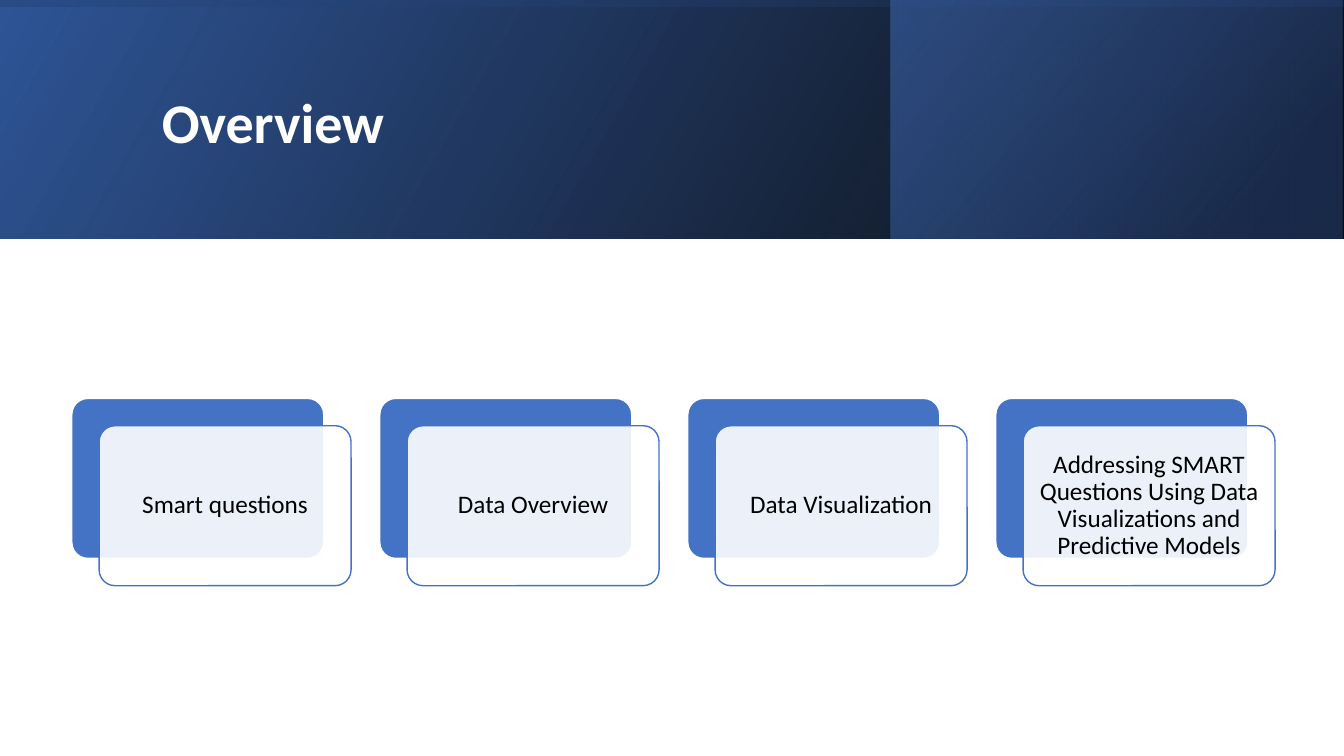
from dataclasses import dataclass

from lxml import etree
from pptx import Presentation
from pptx.dml.color import RGBColor
from pptx.enum import shapes, text
from pptx.oxml.ns import qn
from pptx.util import Pt

FONT = "Calibri"
BLUE, WHITE, BLACK = "4472C4", "FFFFFF", "000000"
SLIDE_W, SLIDE_H, BANNER_H = 960, 540, 170.6


@dataclass
class Box:
    left: float
    top: float
    width: float
    height: float

    def lengths(self) -> list:
        return [Pt(v) for v in (self.left, self.top, self.width, self.height)]


@dataclass
class Stop:
    position: float
    colour: str
    opacity: int


@dataclass
class BannerLayer:
    box: Box
    stops: tuple[Stop, Stop]
    angle: float  # counter-clockwise degrees
    rotation: float = 0


def rgb(value: str) -> RGBColor:
    return RGBColor.from_string(value)


def set_opacity(fill_part, percent: int) -> None:
    """Add an alpha to the colour found inside a fill or gradient stop element."""
    colour = next(fill_part.iter(qn("a:srgbClr")))
    etree.SubElement(colour, qn("a:alpha")).set("val", str(percent * 1000))


def add_banner_layer(slide, layer: BannerLayer) -> None:
    shape = slide.shapes.add_shape(shapes.MSO_SHAPE.RECTANGLE, *layer.box.lengths())
    shape.shadow.inherit = False
    shape.line.fill.background()
    shape.rotation = layer.rotation
    properties = shape._element.spPr
    properties.find(qn("a:xfrm")).set("flipH", "1")
    shape.fill.gradient()
    shape.fill.gradient_angle = layer.angle
    for target, stop in zip(shape.fill.gradient_stops, layer.stops):
        target.position = stop.position
        target.color.rgb = rgb(stop.colour)
    for element, stop in zip(properties.iter(qn("a:gs")), layer.stops):
        set_opacity(element, stop.opacity)


def add_card(slide, box: Box, fill: str, line: str, opacity: int = 100) -> None:
    card = slide.shapes.add_shape(shapes.MSO_SHAPE.ROUNDED_RECTANGLE, *box.lengths())
    card.adjustments[0] = 0.1
    card.shadow.inherit = False
    card.fill.solid()
    card.fill.fore_color.rgb = rgb(fill)
    card.line.color.rgb = rgb(line)
    card.line.width = Pt(1)
    if opacity < 100:
        set_opacity(card._element.spPr.find(qn("a:solidFill")), opacity)


def add_text(slide, box: Box, words: str, *, size: float, colour: str,
             bold: bool = False, align=text.PP_ALIGN.LEFT,
             margins: tuple[float, float] = (7.2, 3.6)) -> None:
    """Add vertically centred text; margins are (side, top and bottom)."""
    frame = slide.shapes.add_textbox(*box.lengths()).text_frame
    frame.word_wrap = True
    frame.vertical_anchor = text.MSO_ANCHOR.MIDDLE
    frame.margin_left = frame.margin_right = Pt(margins[0])
    frame.margin_top = frame.margin_bottom = Pt(margins[1])
    paragraph = frame.paragraphs[0]
    paragraph.alignment = align
    paragraph.line_spacing = 0.9
    paragraph.space_after = Pt(6)
    run = paragraph.add_run()
    run.text = words
    run.font.name = FONT
    run.font.size = Pt(size)
    run.font.bold = bold
    run.font.color.rgb = rgb(colour)


BANNER = (
    BannerLayer(Box(0, 0, SLIDE_W, BANNER_H),
                (Stop(0, BLACK, 96), Stop(1, "2F5597", 100)), angle=30),
    BannerLayer(Box(636.2, 0, 322.8, BANNER_H),
                (Stop(0.19, "203864", 68), Stop(1, BLUE, 48)), angle=40),
    # Stands upright and is turned to lie across the whole banner
    BannerLayer(Box((SLIDE_W - BANNER_H) / 2, (BANNER_H - SLIDE_W) / 2, BANNER_H, SLIDE_W),
                (Stop(0.23, "2F5597", 16), Stop(0.99, BLACK, 45)), angle=10, rotation=270),
)
TOPICS = (
    "Smart questions",
    "Data Overview",
    "Data Visualization",
    "Addressing SMART Questions Using Data Visualizations and Predictive Models",
)
CARD_LEFT, CARD_TOP, CARD_W, CARD_H = 51.3, 284.6, 180, 114.3
CARD_PITCH, FRONT_OFFSET, TEXT_INSET = 220, 19.5, 3.35


def main() -> None:
    deck = Presentation()
    deck.slide_width, deck.slide_height = Pt(SLIDE_W), Pt(SLIDE_H)
    slide = deck.slides.add_slide(deck.slide_layouts[6])

    for layer in BANNER:
        add_banner_layer(slide, layer)
    add_text(slide, Box(108.6, 27.4, 765.4, 123.8), "Overview",
             size=40, colour=WHITE, bold=True)

    for index, topic in enumerate(TOPICS):
        left = CARD_LEFT + index * CARD_PITCH
        front_left, front_top = left + FRONT_OFFSET, CARD_TOP + FRONT_OFFSET
        add_card(slide, Box(left, CARD_TOP, CARD_W, CARD_H), BLUE, WHITE)
        add_card(slide, Box(front_left, front_top, CARD_W, CARD_H), WHITE, BLUE, opacity=90)
        label = Box(front_left + TEXT_INSET, front_top + TEXT_INSET,
                    CARD_W - 2 * TEXT_INSET, CARD_H - 2 * TEXT_INSET)
        add_text(slide, label, topic, size=18, colour=BLACK,
                 align=text.PP_ALIGN.CENTER, margins=(5.4, 5.4))

    deck.save("out.pptx")


if __name__ == "__main__":
    main()
